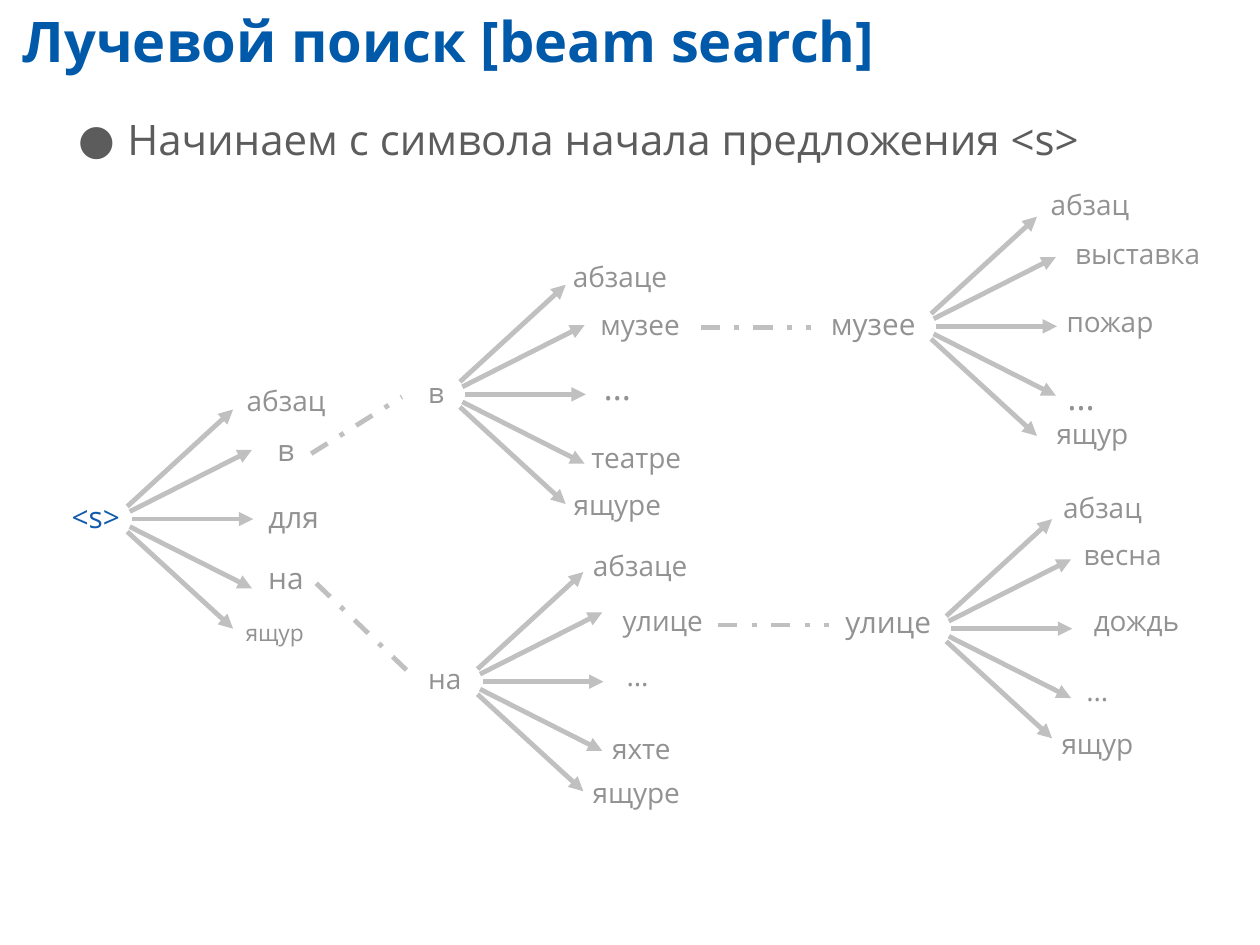
from lxml import etree
from pptx import Presentation, util as u
from pptx.dml.color import RGBColor
from pptx.enum import dml, shapes, text
from pptx.oxml import ns

FONT = "Open Sans"
TITLE_BLUE, START_BLUE = "0059A9", "0F5AAA"
BODY_GREY, WORD_GREY, LINE_GREY = "5C5C5C", "929292", "C0C0C0"

# Arrows of a fan, relative to its left end and its axis
UPPER_ARROWS = [((0, -0.1), (0.84, -0.87)), ((0.02, -0.06), (0.99, -0.55))]
MIDDLE_ARROW = ((0.04, 0), (1, 0))
LOWER_ARROWS = [((x1, -y1), (x2, -y2)) for (x1, y1), (x2, y2) in UPPER_ARROWS]
FAN_ARROWS = [*UPPER_ARROWS, MIDDLE_ARROW, *LOWER_ARROWS]

# Each fan: left end, axis, then words as (word, centre dx, centre dy, width, size);
# the first word is the root, the others are its continuations
FANS = [
    (1.01, 4.12, [("<s>", -0.25, -0.02, 0.47, 17), ("абзац", 1.26, -0.94, 0.77, 16),
                  ("в", 1.26, -0.55, 0.21, 17), ("для", 1.32, -0.02, 0.51, 17),
                  ("на", 1.26, 0.46, 0.36, 17), ("ящур", 1.17, 0.9, 0.7, 13)]),
    (3.65, 3.13, [("в", -0.19, -0.02, 0.21, 16), ("абзаце", 1.27, -0.94, 0.91, 16),
                  ("музее", 1.43, -0.56, 0.79, 16), ("…", 1.25, -0.06, 0.27, 20),
                  ("театре", 1.4, 0.5, 0.86, 16), ("ящуре", 1.25, 0.87, 0.84, 16)]),
    (3.79, 5.41, [("на", -0.26, -0.03, 0.36, 16), ("абзаце", 1.29, -0.92, 0.91, 16),
                  ("улице", 1.47, -0.49, 0.79, 16), ("…", 1.27, -0.05, 0.27, 16),
                  ("яхте", 1.3, 0.53, 0.58, 16), ("ящуре", 1.26, 0.88, 0.84, 16)]),
    (7.39, 2.59, [("музее", -0.46, -0.02, 0.79, 17), ("абзац", 1.26, -0.97, 0.77, 16),
                  ("выставка", 1.64, -0.58, 1.16, 16), ("пожар", 1.42, -0.04, 0.85, 16),
                  ("…", 1.19, 0.56, 0.27, 20), ("ящур", 1.28, 0.85, 0.7, 16)]),
    (7.51, 4.99, [("улице", -0.46, -0.06, 0.79, 17), ("абзац", 1.24, -0.96, 0.77, 16),
                  ("весна", 1.4, -0.59, 0.76, 16), ("дождь", 1.51, -0.07, 0.86, 16),
                  ("…", 1.2, 0.49, 0.27, 16), ("ящур", 1.2, 0.91, 0.7, 16)]),
]
# Dashed links from a chosen word to the root of the next fan
BEAM_LINKS = [((2.47, 3.6), (3.19, 3.15)), ((2.51, 4.63), (3.26, 5.35)),
              ((5.56, 2.6), (6.44, 2.6)), ((5.7, 4.96), (6.58, 4.96))]


def colour(hex_value):
    return RGBColor.from_string(hex_value)


def set_attributes(target, values):
    for name, value in values.items():
        setattr(target, name, value)


def place(shape, left, top, width, height):
    sides = dict(left=left, top=top, width=width, height=height)
    set_attributes(shape, {side: u.Inches(value) for side, value in sides.items()})


def write(shape, words, size, hex_value, inset_x, inset_y, bold=False, **frame_values):
    """Fill the shape with one formatted paragraph and return it."""
    frame = shape.text_frame
    set_attributes(frame, {
        "margin_left": u.Inches(inset_x), "margin_right": u.Inches(inset_x),
        "margin_top": u.Inches(inset_y), "margin_bottom": u.Inches(inset_y),
        "auto_size": text.MSO_AUTO_SIZE.NONE, **frame_values})
    paragraph = frame.paragraphs[0]
    paragraph.space_before = u.Pt(0)
    run = paragraph.add_run()
    run.text = words
    set_attributes(run.font, {"name": FONT, "size": u.Pt(size), "bold": bold})
    run.font.color.rgb = colour(hex_value)
    return paragraph


def indent(paragraph, margin, first_line):
    properties = paragraph._p.get_or_add_pPr()
    properties.set("marL", str(u.Inches(margin)))
    properties.set("indent", str(u.Inches(first_line)))
    return properties


def add_heading(slide, box):
    title = slide.shapes.title
    place(title, *box)
    heading = write(title, "Лучевой поиск [beam search]", 32, TITLE_BLUE, 0.1, 0.05,
                    bold=True, vertical_anchor=text.MSO_ANCHOR.TOP)
    heading.alignment = text.PP_ALIGN.LEFT
    indent(heading, 0, 0.08)


def add_bullet_list(slide, box):
    body = slide.placeholders[1]
    place(body, *box)
    item = write(body, "Начинаем с символа начала предложения <s>", 24, BODY_GREY,
                 0.03, 0.03, vertical_anchor=text.MSO_ANCHOR.TOP)
    properties = indent(item, 0.39, -0.39)
    bullet_colour = etree.SubElement(properties, ns.qn("a:buClr"))
    etree.SubElement(bullet_colour, ns.qn("a:srgbClr"), val=BODY_GREY)
    etree.SubElement(properties, ns.qn("a:buFont"), typeface=FONT)
    etree.SubElement(properties, ns.qn("a:buChar"), char="●")


def add_line(slide, start, end):
    line = slide.shapes.add_connector(
        shapes.MSO_CONNECTOR.STRAIGHT, *(u.Inches(v) for v in (*start, *end)))
    line.line.color.rgb = colour(LINE_GREY)
    line.line.width = u.Pt(2.75)
    etree.SubElement(line._element.spPr, ns.qn("a:effectLst"))
    return line


def add_arrow(slide, start, end):
    arrow = add_line(slide, start, end)
    etree.SubElement(arrow.line._get_or_add_ln(), ns.qn("a:tailEnd"), type="triangle")


def add_word(slide, word, centre_x, centre_y, width, size):
    height = size / 60 + 0.08
    label = slide.shapes.add_textbox(0, 0, 0, 0)
    place(label, centre_x - width / 2, centre_y - height / 2, width, height)
    hex_value = START_BLUE if word == "<s>" else WORD_GREY
    paragraph = write(label, word, size, hex_value, 0.04, 0.04, word_wrap=False,
                      vertical_anchor=text.MSO_ANCHOR.MIDDLE)
    paragraph.alignment = text.PP_ALIGN.CENTER


def add_fan(slide, left, axis, words):
    """Draw a root word with five arrows to its continuations."""
    for (x1, y1), (x2, y2) in FAN_ARROWS:
        add_arrow(slide, (left + x1, axis + y1), (left + x2, axis + y2))
    for word, dx, dy, width, size in words:
        add_word(slide, word, left + dx, axis + dy, width, size)


def main():
    deck = Presentation()
    deck.slide_width, deck.slide_height = u.Inches(10), u.Inches(7.5)
    slide = deck.slides.add_slide(deck.slide_layouts[1])
    add_heading(slide, (0, 0, 10, 0.65))
    add_bullet_list(slide, (0.59, 0.87, 9.32, 0.39))
    for fan in FANS:
        add_fan(slide, *fan)
    for start, end in BEAM_LINKS:
        add_line(slide, start, end).line.dash_style = dml.MSO_LINE.DASH_DOT
    deck.save("out.pptx")


if __name__ == "__main__":
    main()
